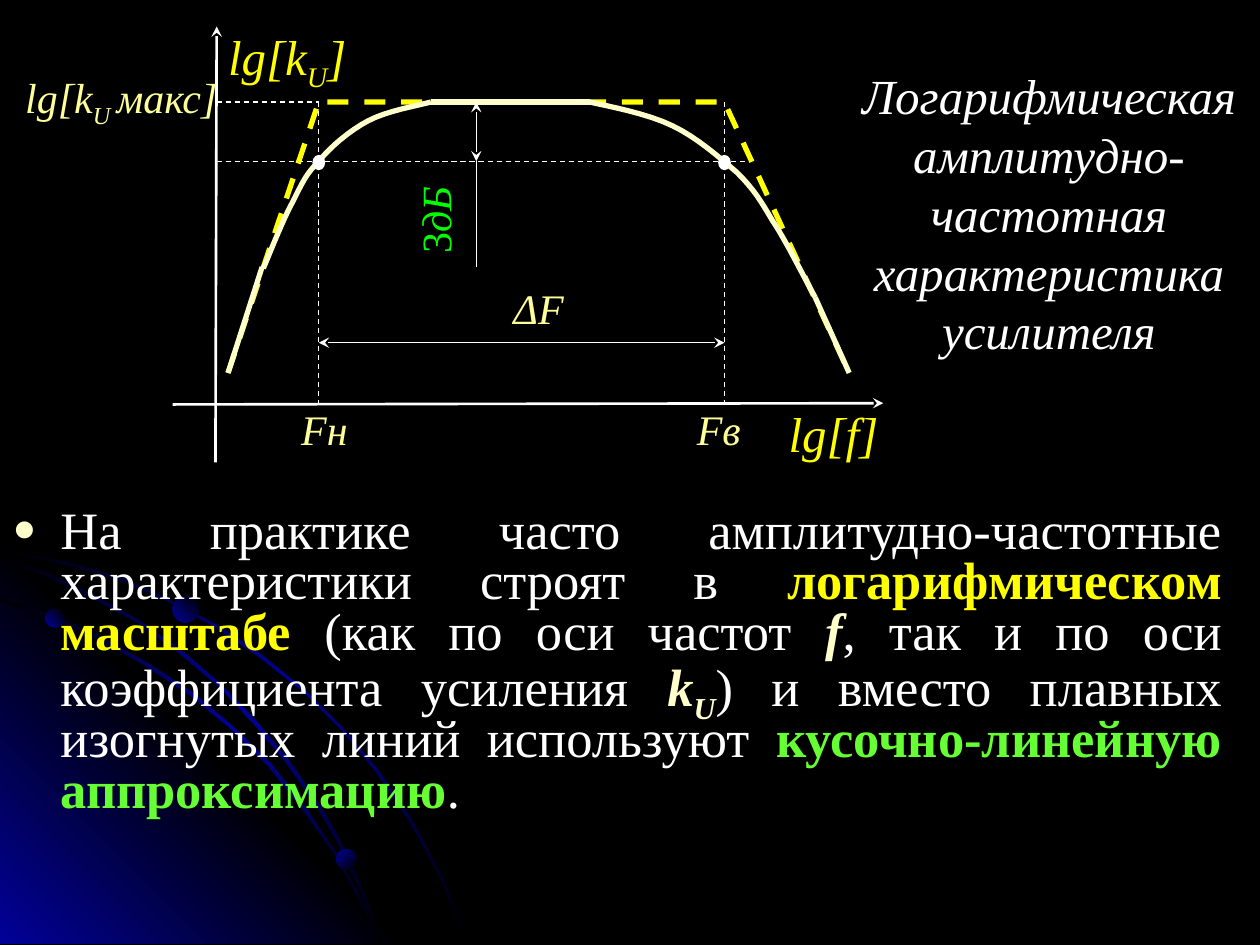
from dataclasses import dataclass

from lxml.etree import SubElement
from pptx import Presentation
from pptx.dml.color import RGBColor
from pptx.enum.dml import MSO_LINE
from pptx.enum.shapes import MSO_CONNECTOR, MSO_SHAPE
from pptx.enum.text import MSO_ANCHOR, MSO_AUTO_SIZE, PP_ALIGN
from pptx.oxml.ns import qn
from pptx.util import Inches, Pt


@dataclass(frozen=True)
class Theme:
    font: str = "Times New Roman"
    black: str = "000000"
    navy: str = "010199"
    white: str = "FFFFFF"
    yellow: str = "FFFF00"
    cream: str = "FFFFCC"
    label: str = "FFFF99"
    lime: str = "00FF00"
    green: str = "66FF33"
    body_size: int = 30
    title_size: int = 28
    label_size: int = 24
    thin: float = 0.75
    axis: float = 1.5
    thick: float = 3


T = Theme()

# Key positions of the plot, in inches
F_LOW, F_HIGH = 2.53, 5.75
Y_MAX, Y_3DB, Y_AXIS = 0.81, 1.28, 3.2
X_AXIS, X_3DB = 1.72, 3.78

# Background arcs: outlines of thin ribbons
ARCS = [
    [(0.57, 4.47), (0.28, 4.41), (0, 4.35), (0, 4.38), (0.28, 4.43), (0.56, 4.49),
     (0.97, 4.61), (1.35, 4.78), (1.73, 4.99), (2.08, 5.23), (2.41, 5.49), (2.71, 5.79),
     (2.98, 6.12), (3.23, 6.49), (3.37, 6.73), (3.5, 6.98), (3.6, 7.23), (3.7, 7.49),
     (3.72, 7.49), (3.62, 7.23), (3.52, 6.98), (3.39, 6.73), (3.25, 6.48), (3, 6.11),
     (2.72, 5.78), (2.42, 5.48), (2.09, 5.21), (1.74, 4.97), (1.36, 4.77), (0.98, 4.59)],
    [(2.85, 7.14), (2.94, 7.32), (3.01, 7.49), (3.03, 7.49), (2.96, 7.3), (2.86, 7.12),
     (2.66, 6.76), (2.42, 6.4), (2.15, 6.06), (1.84, 5.76), (1.52, 5.49), (1.17, 5.26),
     (0.79, 5.05), (0.41, 4.88), (0, 4.75), (0, 4.77), (0.39, 4.9), (0.77, 5.07),
     (1.15, 5.28), (1.5, 5.51), (1.83, 5.78), (2.13, 6.08), (2.4, 6.42), (2.65, 6.77)],
    [(0, 4.42), (0, 4.44), (0.36, 4.57), (0.74, 4.75), (1.09, 4.94), (1.42, 5.18),
     (1.73, 5.44), (2.02, 5.75), (2.27, 6.05), (2.52, 6.41), (2.67, 6.67), (2.8, 6.94),
     (2.92, 7.22), (3.01, 7.49), (3.03, 7.49), (2.94, 7.2), (2.82, 6.93), (2.69, 6.65),
     (2.54, 6.39), (2.29, 6.03), (2.04, 5.73), (1.75, 5.43), (1.44, 5.16), (1.11, 4.93),
     (0.76, 4.73), (0.39, 4.55)],
]
CORNER = [(3.22, 7.49), (0, 7.49), (0, 4.27)]

# Bends of the response: a start point, then two controls and an end per segment
LOW_BEND = [(2.09, 2.13), (2.13, 2.04), (2.25, 1.73), (2.33, 1.59), (2.4, 1.45),
            (2.43, 1.38), (2.53, 1.28), (2.62, 1.17), (2.77, 1.04), (2.92, 0.96),
            (3.07, 0.88), (3.31, 0.84), (3.42, 0.81)]
HIGH_BEND = [(6.47, 2.36), (6.41, 2.26), (6.24, 1.91), (6.13, 1.75), (6.03, 1.58),
             (5.98, 1.5), (5.85, 1.37), (5.71, 1.25), (5.53, 1.09), (5.34, 1),
             (5.14, 0.9), (4.81, 0.84), (4.68, 0.81)]


def rgb(value):
    return RGBColor.from_string(value)


def style_line(line, color, width, dashed=False):
    line.color.rgb = rgb(color)
    line.width = Pt(width)
    if dashed:
        line.dash_style = MSO_LINE.DASH


def add_line(slide, start, end, color=T.white, width=T.thin, dashed=False, arrows=()):
    points = [Inches(v) for v in (*start, *end)]
    sp = slide.shapes.add_connector(MSO_CONNECTOR.STRAIGHT, *points)
    style_line(sp.line, color, width, dashed)
    sp_pr = sp._element.spPr
    for end_name in arrows:
        SubElement(sp_pr.find(qn("a:ln")), qn(f"a:{end_name}"), type="stealth")
    SubElement(sp_pr, qn("a:effectLst"))


def add_outline(slide, points, closed=False):
    (x, y), *rest = [(Inches(px), Inches(py)) for px, py in points]
    builder = slide.shapes.build_freeform(x, y)
    builder.add_line_segments(rest, close=closed)
    sp = builder.convert_to_shape()
    sp.shadow.inherit = False
    sp.fill.background()
    return sp


def add_polyline(slide, points, color, dashed=False):
    style_line(add_outline(slide, points).line, color, T.thick, dashed)


def smooth(nodes, steps=8):
    """Sample a chain of cubic Bezier segments."""
    points = [nodes[0]]
    for i in range(0, len(nodes) - 1, 3):
        for t in (n / steps for n in range(1, steps + 1)):
            weights = ((1 - t) ** 3, 3 * t * (1 - t) ** 2, 3 * t * t * (1 - t), t ** 3)
            points.append(tuple(sum(w * node[axis] for w, node in zip(weights, nodes[i:i + 4]))
                                for axis in (0, 1)))
    return points


def add_ellipse(slide, *box):
    sp = slide.shapes.add_shape(MSO_SHAPE.OVAL, *map(Inches, box))
    sp.shadow.inherit = False
    return sp


def shade(sp, colors, angle):
    """Fill with evenly spaced gradient stops; the angle runs clockwise."""
    sp.line.fill.background()
    sp.fill.gradient()
    grad = sp._element.spPr.find(qn("a:gradFill"))
    for child in list(grad):
        grad.remove(child)
    stops = SubElement(grad, qn("a:gsLst"))
    for i, color in enumerate(colors):
        stop = SubElement(stops, qn("a:gs"), pos=str(100000 * i // (len(colors) - 1)))
        SubElement(stop, qn("a:srgbClr"), val=color)
    SubElement(grad, qn("a:lin"), ang=str(angle * 60000), scaled="0")


def frame(sp, box, insets=(0, 0)):
    sp.left, sp.top, sp.width, sp.height = map(Inches, box)
    tf = sp.text_frame
    tf.word_wrap = True
    tf.auto_size = MSO_AUTO_SIZE.NONE
    tf.vertical_anchor = MSO_ANCHOR.TOP
    tf.margin_left = tf.margin_right = Inches(insets[0])
    tf.margin_top = tf.margin_bottom = Inches(insets[1])
    return tf


def write(p, runs, size, color, italic=None, align=PP_ALIGN.LEFT):
    """Fill a paragraph with (text, marks, colour): b bold, i italic, s subscript."""
    p.alignment = align
    p.font.name, p.font.size = T.font, Pt(size)
    p.font.color.rgb = rgb(color)
    p.font.italic = italic
    for text, marks, run_color in runs:
        r = p.add_run()
        r.text = text
        if "b" in marks:
            r.font.bold = True
        if "i" in marks:
            r.font.italic = True
        if "s" in marks:
            r.font._element.set("baseline", "-25000")
        if run_color:
            r.font.color.rgb = rgb(run_color)


def add_label(slide, box, *parts, size=T.label_size, color=T.label, align=PP_ALIGN.CENTER):
    """Italic label; every second part is a subscript."""
    tf = frame(slide.shapes.add_textbox(0, 0, 0, 0), box)
    runs = [(text, "s" if i % 2 else "", None) for i, text in enumerate(parts)]
    write(tf.paragraphs[0], runs, size, color, True, align)


def add_backdrop(slide):
    slide.background.fill.solid()
    slide.background.fill.fore_color.rgb = rgb(T.black)
    ribbon = (T.black, T.navy, T.black)
    shade(add_outline(slide, ARCS[0], True), ribbon, 225)
    shade(add_outline(slide, CORNER, True), (T.navy, T.black, T.navy), 135)
    for arc in ARCS[1:]:
        shade(add_outline(slide, arc, True), ribbon, 225)
    for x, y, size, angle in ((0.36, 4.83, 0.15, 135), (2.67, 6.74, 0.16, 225),
                              (1.37, 4.73, 0.21, 135)):
        shade(add_ellipse(slide, x, y, size, size), (T.black, T.navy), angle)


def fill_title(sp):
    tf = frame(sp, (6.65, 0.52, 3.35, 2.68))
    lines = ("Логарифмическая амплитудно-", "частотная характеристика усилителя")
    for i, text in enumerate(lines):
        p = tf.add_paragraph() if i else tf.paragraphs[0]
        write(p, [(text, "", None)], T.title_size, T.white, True, PP_ALIGN.CENTER)


def fill_body(sp):
    p = frame(sp, (0, 3.99, 9.8, 3.31), (0.1, 0.05)).paragraphs[0]
    p.line_spacing, p.space_before = 0.8, Pt(0)
    p_pr = p._p.get_or_add_pPr()
    p_pr.set("marL", str(Inches(0.38)))
    p_pr.set("indent", str(-Inches(0.38)))
    SubElement(SubElement(p_pr, qn("a:buClr")), qn("a:srgbClr"), val=T.cream)
    SubElement(p_pr, qn("a:buSzPct"), val="75000")
    SubElement(p_pr, qn("a:buChar"), char="●")
    write(p, [
        ("На практике часто амплитудно-частотные характеристики строят в ", "", None),
        ("логарифмическом масштабе", "b", T.yellow),
        (" (как по оси частот ", "", None),
        ("f", "bi", T.cream),
        (", так и по оси коэффициента усиления ", "", None),
        ("k", "bi", T.cream),
        ("U", "bis", T.cream),
        (") и вместо плавных изогнутых линий используют ", "", None),
        ("кусочно-линейную аппроксимацию", "b", T.green),
        (".", "", None),
    ], T.body_size, T.white, align=PP_ALIGN.JUSTIFY)


def add_plot(slide):
    # Axes and dashed guides
    for start, end in (((1.71, 3.67), (X_AXIS, 0.21)), ((1.37, 3.21), (7.01, Y_AXIS))):
        add_line(slide, start, end, width=T.axis, arrows=["tailEnd"])
    for y, right in ((Y_MAX, F_LOW), (Y_3DB, 5.94)):
        add_line(slide, (X_AXIS, y), (right, y), dashed=True)
    for x in (F_LOW, F_HIGH):
        add_line(slide, (x, Y_MAX), (x, Y_AXIS), dashed=True)

    # Piecewise-linear approximation, then the smooth response
    add_polyline(slide, [(1.81, 2.96), (F_LOW, Y_MAX), (F_HIGH, Y_MAX), (6.74, 2.96)],
                 T.yellow, dashed=True)
    for bend in (LOW_BEND, HIGH_BEND):
        add_polyline(slide, smooth(bend), T.cream)
    for start, end in (((2.08, 2.12), (1.81, 2.96)), (LOW_BEND[-1], HIGH_BEND[-1]),
                       (HIGH_BEND[0], (6.74, 2.96))):
        add_line(slide, start, end, T.cream, T.thick)

    # Bandwidth and 3 dB dimensions
    both = ("headEnd", "tailEnd")
    add_line(slide, (F_LOW, 2.72), (F_HIGH, 2.72), arrows=both)
    add_line(slide, (X_3DB, Y_MAX), (X_3DB, Y_3DB), arrows=both)
    add_line(slide, (X_3DB, Y_3DB), (X_3DB, 2.12))
    for x in (F_LOW, F_HIGH):
        sp = add_ellipse(slide, x - 0.04, 1.24, 0.08, 0.1)
        sp.fill.solid()
        sp.fill.fore_color.rgb = rgb(T.white)
        style_line(sp.line, T.white, T.axis)


def add_plot_labels(slide):
    axis = {"size": T.title_size, "color": T.yellow}
    add_label(slide, (1.81, 0.21, 0.98, 0.6), "lg[k", "U", "]", align=PP_ALIGN.LEFT, **axis)
    add_label(slide, (6.22, Y_AXIS, 0.79, 0.6), "lg[f]", **axis)
    add_label(slide, (0.2, 0.57, 1.69, 0.6), "lg[k", "U ", "макс]", align=PP_ALIGN.LEFT)
    for x, y, text in ((5.39, Y_AXIS, "Fв"), (3.96, 2.24, "ΔF"), (2.26, Y_AXIS, "Fн")):
        add_label(slide, (x, y, 0.63, 0.6), text)
    sp = slide.shapes.add_textbox(0, 0, 0, 0)
    tf = frame(sp, (3.07, 1.44, 0.8, 0.54), (0.1, 0.05))
    sp.rotation = -90
    write(tf.paragraphs[0], [("3", "", None), ("дБ", "i", None)], T.label_size, T.lime)


def main():
    prs = Presentation()
    prs.slide_width, prs.slide_height = Inches(10), Inches(7.5)
    slide = prs.slides.add_slide(prs.slide_layouts[1])
    title, body = slide.placeholders
    add_backdrop(slide)
    # Text goes in front of the backdrop
    for sp in (body, title):
        slide.shapes._spTree.append(sp._element)
    fill_title(title)
    fill_body(body)
    add_plot(slide)
    add_plot_labels(slide)
    prs.save("out.pptx")


if __name__ == "__main__":
    main()
